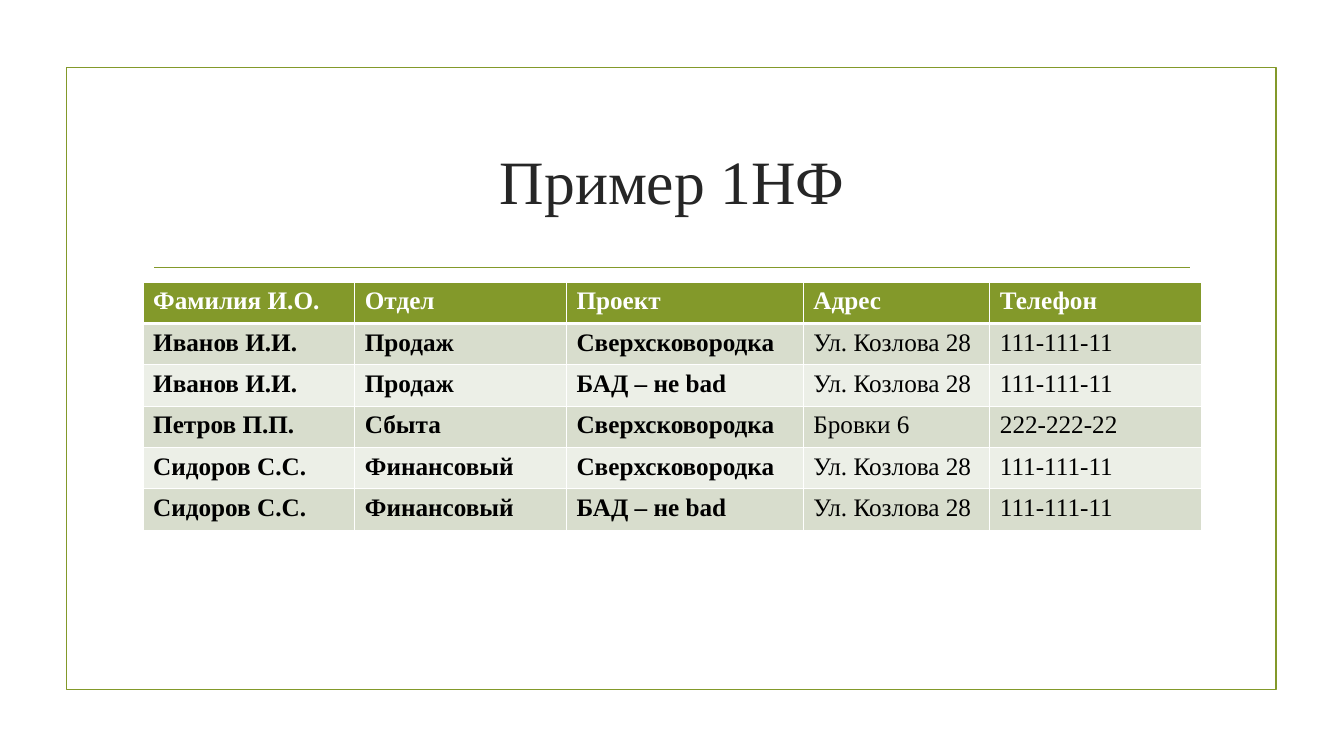
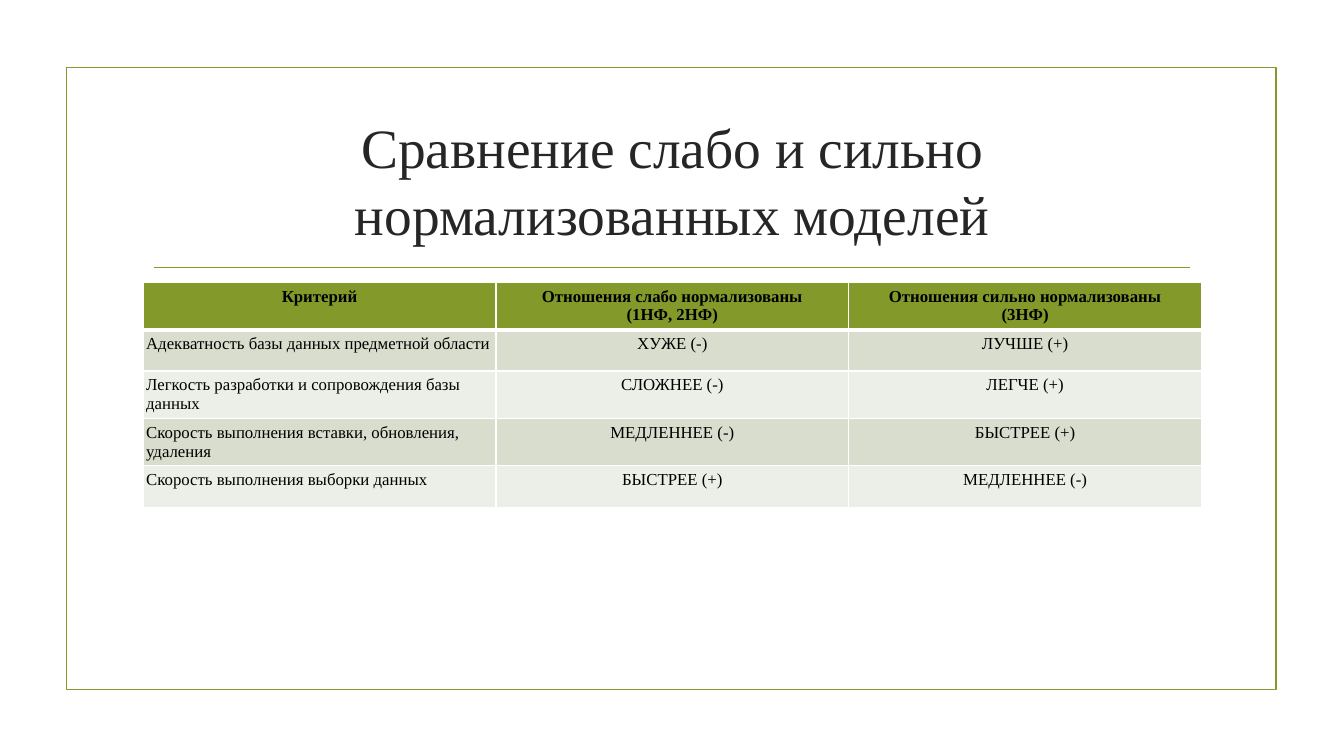
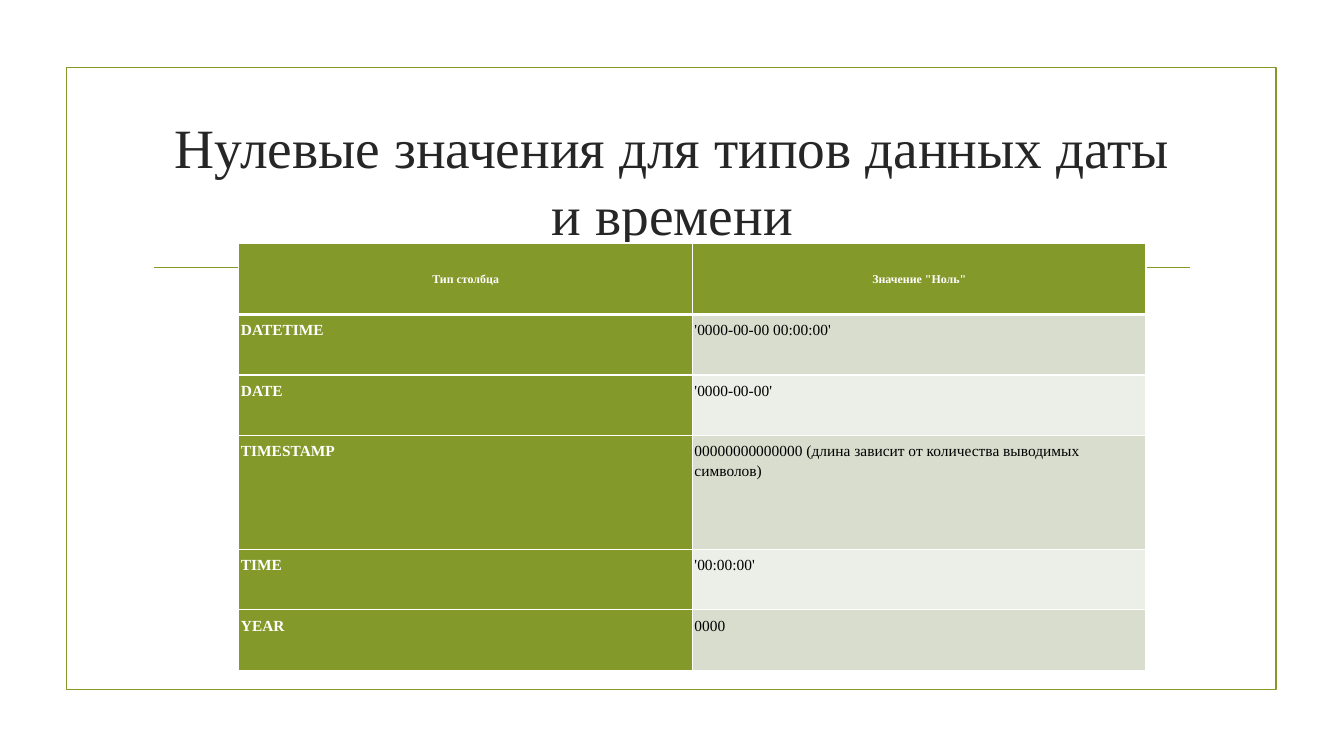
"""Build three slides of framed tables about database normalization and date types."""
from dataclasses import dataclass

from lxml import etree
from pptx import Presentation
from pptx.dml.color import RGBColor
from pptx.enum.shapes import MSO_CONNECTOR, MSO_SHAPE
from pptx.enum.text import MSO_ANCHOR, MSO_AUTO_SIZE, PP_ALIGN
from pptx.oxml.ns import qn
from pptx.util import Inches, Pt

RECTANGLE = MSO_SHAPE.RECTANGLE
STRAIGHT = MSO_CONNECTOR.STRAIGHT
MIDDLE = MSO_ANCHOR.MIDDLE
TOP = MSO_ANCHOR.TOP
LEFT = PP_ALIGN.LEFT
CENTER = PP_ALIGN.CENTER
NO_FIT = MSO_AUTO_SIZE.NONE


@dataclass(frozen=True)
class Theme:
    font: str = "Times New Roman"
    accent: str = "83992A"
    title: str = "262626"
    white: str = "FFFFFF"
    black: str = "000000"
    bands: tuple = ("D8DDCD", "ECEFE7")
    title_size: float = 44
    long_title_size: float = 39.6
    large: float = 18
    medium: float = 12
    small: float = 11
    tiny: float = 8.5
    frame_line: float = 1.25
    rule_line: float = 0.75
    cell_line: float = 0.96
    header_line: float = 3


THEME = Theme()

presentation = Presentation()
presentation.slide_width = Inches(40 / 3)
presentation.slide_height = Inches(7.5)
COLUMN = presentation.slide_width / 40
ROW = presentation.slide_height / 30


def grid(*lengths):
    """Turn alternating column and row counts into slide lengths."""
    return [round(length * (ROW if index % 2 else COLUMN)) for index, length in enumerate(lengths)]


def add_borders(cell, top, bottom):
    """Draw white borders around a cell."""
    properties = cell._tc.get_or_add_tcPr()
    widths = {"lnL": THEME.cell_line, "lnR": THEME.cell_line, "lnT": top, "lnB": bottom}
    for tag, width in widths.items():
        border = etree.SubElement(properties, qn(f"a:{tag}"), w=str(Pt(width)))
        fill = etree.SubElement(border, qn("a:solidFill"))
        etree.SubElement(fill, qn("a:srgbClr"), val=THEME.white)


SLIDES = [
    {
        "title": "Пример 1НФ", "title_size": THEME.title_size,
        "origin": (4.26, 11.2),
        "columns": (6.3, 6.3, 7.05, 5.55, 6.3), "rows": (1.64,) * 6,
        "header_size": THEME.large, "body_size": THEME.large,
        "header_color": THEME.white, "header_align": LEFT, "value_align": LEFT,
        "bold_columns": 3, "accent_columns": 0,
        "header_inset": 0.1, "body_inset": 0.1,
        "header_anchor": TOP, "line_spacing": 1, "space_after": 0,
        "cells": [
            ("Фамилия И.О.", "Отдел", "Проект", "Адрес", "Телефон"),
            ("Иванов И.И.", "Продаж", "Сверхсковородка", "Ул. Козлова 28", "111-111-11"),
            ("Иванов И.И.", "Продаж", "БАД – не bad", "Ул. Козлова 28", "111-111-11"),
            ("Петров П.П.", "Сбыта", "Сверхсковородка", "Бровки 6", "222-222-22"),
            ("Сидоров С.С.", "Финансовый", "Сверхсковородка", "Ул. Козлова 28", "111-111-11"),
            ("Сидоров С.С.", "Финансовый", "БАД – не bad", "Ул. Козлова 28", "111-111-11"),
        ],
    },
    {
        "title": "Сравнение слабо и сильно нормализованных моделей",
        "title_size": THEME.long_title_size,
        "origin": (4.26, 11.2),
        "columns": (10.5,) * 3, "rows": (1.64,) * 5,
        "header_size": THEME.medium, "body_size": THEME.medium,
        "header_color": THEME.black, "header_align": CENTER, "value_align": CENTER,
        "bold_columns": 0, "accent_columns": 0,
        "header_inset": 0.03, "body_inset": 0.03,
        "header_anchor": TOP, "line_spacing": 1, "space_after": 0,
        "cells": [
            ("Критерий", "Отношения слабо нормализованы\v(1НФ, 2НФ)",
             "Отношения сильно нормализованы\v(3НФ)"),
            ("Адекватность базы данных предметной области", "ХУЖЕ (-)", "ЛУЧШЕ (+)"),
            ("Легкость разработки и сопровождения базы данных", "СЛОЖНЕЕ (-)", "ЛЕГЧЕ (+)"),
            ("Скорость выполнения вставки, обновления, удаления", "МЕДЛЕННЕЕ (-)", "БЫСТРЕЕ (+)"),
            ("Скорость выполнения выборки данных", "БЫСТРЕЕ (+)", "МЕДЛЕННЕЕ (-)"),
        ],
    },
    {
        "title": "Нулевые значения для типов данных даты и времени",
        "title_size": THEME.long_title_size,
        "origin": (7.11, 9.64),
        "columns": (13.5,) * 2, "rows": (2.84, 2.4, 2.4, 4.52, 2.4, 2.4),
        "header_size": THEME.tiny, "body_size": THEME.small,
        "header_color": THEME.white, "header_align": CENTER, "value_align": LEFT,
        "bold_columns": 1, "accent_columns": 1,
        "header_inset": 0.1, "body_inset": 0.02,
        "header_anchor": MIDDLE, "line_spacing": 1.15, "space_after": 10,
        "cells": [
            ("Тип столбца", 'Значение "Ноль"'),
            ("DATETIME", "'0000-00-00 00:00:00'"),
            ("DATE", "'0000-00-00'"),
            ("TIMESTAMP", "00000000000000 (длина зависит от количества выводимых символов)"),
            ("TIME", "'00:00:00'"),
            ("YEAR", "0000"),
        ],
    },
]

layout = presentation.slide_layouts.get_by_name("Title Only")
layout_title = layout.placeholders[0]
layout_title.left, layout_title.top, layout_title.width, layout_title.height = grid(4.26, 4.28, 31.5, 5.72)
layout_title.text_frame.vertical_anchor = MIDDLE
slides = [presentation.slides.add_slide(layout) for _ in SLIDES]

frame = slides[0].shapes.add_shape(RECTANGLE, *grid(1.98, 2.68, 36, 24.68))
frame.shadow.inherit = False
frame.fill.background()
frame.line.width = Pt(THEME.frame_line)
rule = slides[0].shapes.add_connector(STRAIGHT, *grid(4.59, 10.6, 35.43, 10.6))
rule.line.width = Pt(THEME.rule_line)
etree.SubElement(rule.element.spPr, qn("a:effectLst"))
for shape in (frame, rule):
    shape.line.color.rgb = RGBColor.from_string(THEME.accent)
    layout.shapes.element.append(shape.element)

for slide, content in zip(slides, SLIDES):
    title = slide.shapes.title
    title.text_frame.text = content["title"]
    title.text_frame.auto_size = NO_FIT
    paragraph = title.text_frame.paragraphs[0]
    paragraph.alignment = CENTER
    paragraph.font.name = THEME.font
    paragraph.font.size = Pt(content["title_size"])
    paragraph.font.color.rgb = RGBColor.from_string(THEME.title)

    columns, rows = content["columns"], content["rows"]
    table = slide.shapes.add_table(
        len(rows), len(columns), *grid(*content["origin"], sum(columns), sum(rows))
    ).table
    for column, width in zip(table.columns, columns):
        column.width = round(width * COLUMN)
    for row, height in zip(table.rows, rows):
        row.height = round(height * ROW)

    for row_index, texts in enumerate(content["cells"]):
        is_header = row_index == 0
        part = "header" if is_header else "body"
        for column_index, text in enumerate(texts):
            is_accent = is_header or column_index < content["accent_columns"]
            cell = table.cell(row_index, column_index)
            add_borders(
                cell,
                THEME.header_line if row_index == 1 else THEME.cell_line,
                THEME.header_line if is_header else THEME.cell_line,
            )
            fill_color = THEME.accent if is_accent else THEME.bands[(row_index - 1) % 2]
            cell.fill.solid()
            cell.fill.fore_color.rgb = RGBColor.from_string(fill_color)
            cell.margin_left = cell.margin_right = Inches(content[f"{part}_inset"])
            cell.vertical_anchor = content["header_anchor"] if is_header else TOP

            cell.text_frame.text = text
            paragraph = cell.text_frame.paragraphs[0]
            body_align = content["value_align"] if column_index else LEFT
            paragraph.alignment = content["header_align"] if is_header else body_align
            paragraph.line_spacing = content["line_spacing"]
            paragraph.space_after = Pt(content["space_after"])
            paragraph.font.name = THEME.font
            paragraph.font.size = Pt(content[f"{part}_size"])
            paragraph.font.bold = is_header or column_index < content["bold_columns"]
            text_color = content["header_color"] if is_accent else THEME.black
            paragraph.font.color.rgb = RGBColor.from_string(text_color)

presentation.save("out.pptx")
